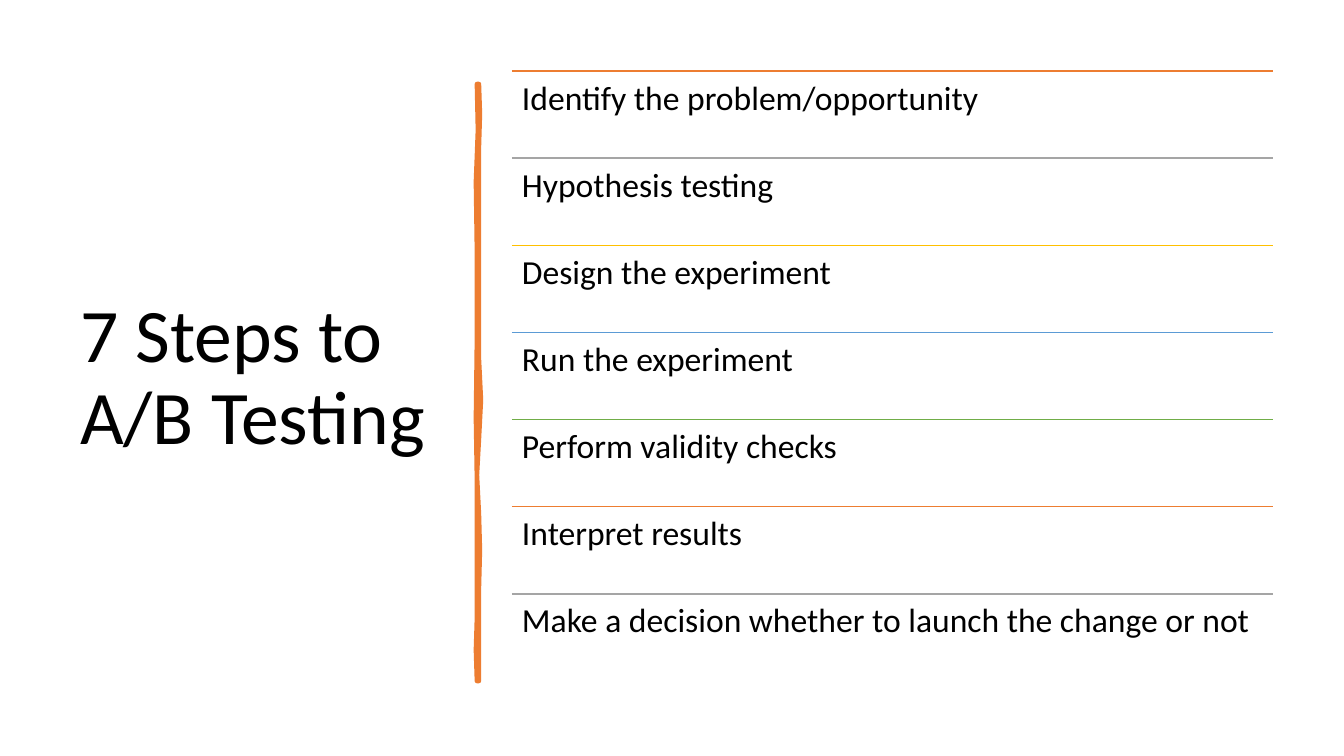
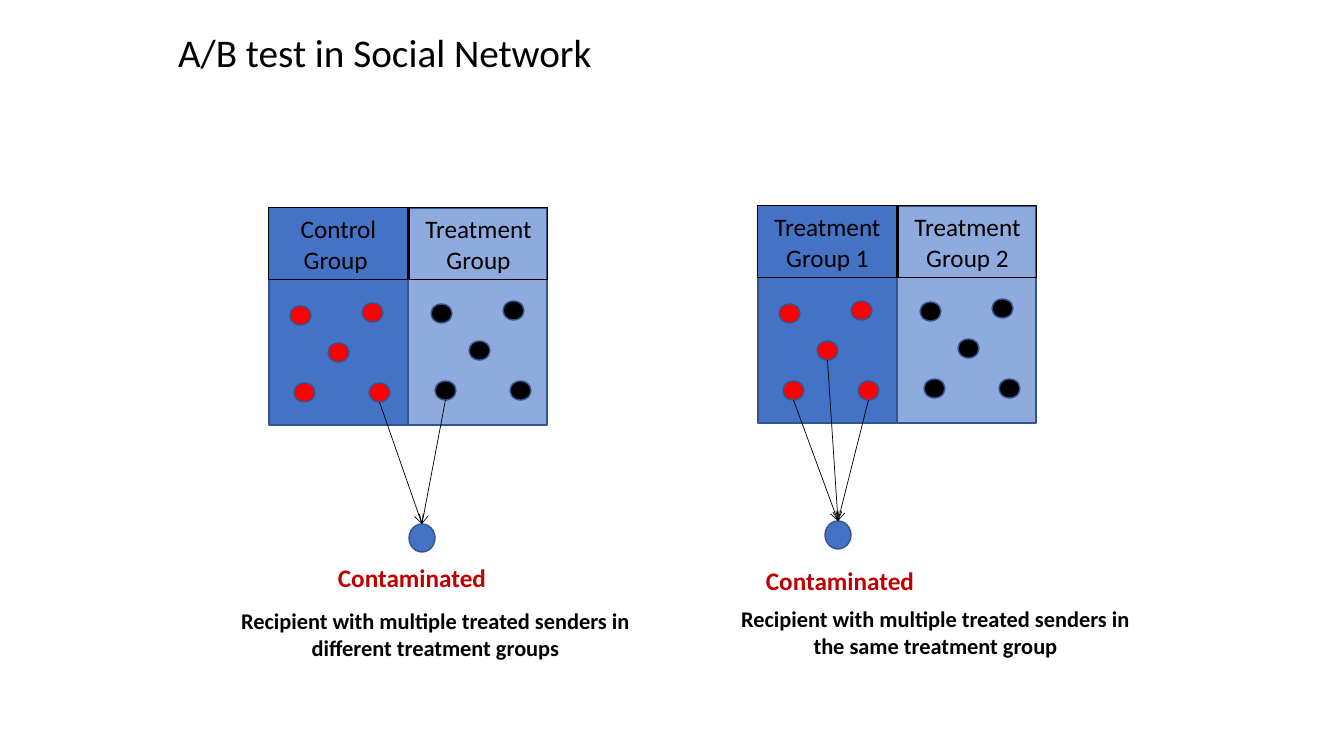
import pptx
import pptx.dml.color
import pptx.enum.shapes
import pptx.enum.text
import pptx.oxml.ns
import pptx.util
from lxml import etree

FONT = "Calibri"
BLACK, BLUE, PALE_BLUE, OUTLINE = "000000", "4472C4", "8FAADC", "325491"
RED, DARK_RED, ORANGE = "FF0000", "C00000", "ED7D31"
RULE_COLOURS = [ORANGE, "A5A5A5", "FFC000", "5B9BD5", "70AD47"]
SCALE = 914400 / 100.8
SHAPE = pptx.enum.shapes.MSO_SHAPE
ALIGN = pptx.enum.text.PP_ALIGN
ANCHOR = pptx.enum.text.MSO_ANCHOR

STEPS = [
    "Identify the problem/opportunity",
    "Hypothesis testing",
    "Design the experiment",
    "Run the experiment",
    "Perform validity checks",
    "Interpret results",
    "Make a decision whether to launch the change or not",
]
BRUSH_RIGHT = [(5, 0), (6, 30), (5, 63), (5, 144), (5, 212), (5, 275), (7, 316),
               (5, 355), (3, 391), (5, 430), (6, 466), (5, 504), (5, 597)]
BRUSH_LEFT = [(3, 597), (2, 566), (3, 534), (3, 477), (3, 396), (2, 334), (3, 254),
              (3, 168), (2, 98), (4, 46), (3, 0)]
SENDERS = [(21, 98), (59, 135), (93, 95), (25, 175), (100, 175)]
GROUP_SHIFT = (141, -2)
DOT_SIZE = (21, 19)


def px(length):
    """Turn picture pixels into EMU."""
    return pptx.util.Emu(round(length * SCALE))


def rgb(colour):
    """Turn a hex string into a colour."""
    return pptx.dml.color.RGBColor.from_string(colour)


def write(frame, text, size, colour=BLACK, bold=False, align=ALIGN.LEFT,
          spacing=1.0, anchor=ANCHOR.TOP, wrap=True):
    """Write one formatted run into a text frame."""
    frame.word_wrap = wrap
    frame.auto_size = pptx.enum.text.MSO_AUTO_SIZE.NONE
    frame.vertical_anchor = anchor
    paragraph = frame.paragraphs[0]
    paragraph.alignment = align
    paragraph.line_spacing = spacing
    run = paragraph.add_run()
    run.text = text
    run.font.name = FONT
    run.font.size = pptx.util.Pt(size)
    run.font.bold = bold
    run.font.color.rgb = rgb(colour)


def add_title_slide(deck, text, size, box):
    """Add a title-only slide and place its title in the box."""
    slide = deck.slides.add_slide(deck.slide_layouts[5])
    title = slide.shapes.title
    title.left, title.top, title.width, title.height = map(px, box)
    write(title.text_frame, text, size, spacing=0.9, anchor=ANCHOR.MIDDLE)
    return slide


def paint(shape, fill, line, width):
    """Set the fill and outline of a shape; no fill where it is None."""
    shape.shadow.inherit = False
    if fill:
        shape.fill.solid()
        shape.fill.fore_color.rgb = rgb(fill)
    else:
        shape.fill.background()
    shape.line.color.rgb = rgb(line)
    shape.line.width = pptx.util.Pt(width)


def add_block(slide, kind, box, fill, line=OUTLINE, width=1):
    """Add a preset shape in the box."""
    block = slide.shapes.add_shape(kind, *map(px, box))
    paint(block, fill, line, width)
    return block


def add_label(slide, box, text, size, **style):
    """Add a text box in the box."""
    label = slide.shapes.add_textbox(*map(px, box))
    write(label.text_frame, text, size, **style)
    return label


def add_line(slide, start, end, colour, width, arrow=False):
    """Join two points with a line, with an open arrowhead if asked."""
    line = slide.shapes.add_connector(
        pptx.enum.shapes.MSO_CONNECTOR.STRAIGHT, *map(px, (*start, *end)))
    line.line.color.rgb = rgb(colour)
    line.line.width = pptx.util.Pt(width)
    qn = pptx.oxml.ns.qn
    if arrow:
        etree.SubElement(line.line._get_or_add_ln(), qn("a:tailEnd"), type="arrow")
    etree.SubElement(line._element.spPr, qn("a:effectLst"))


def add_brush_stroke(slide, left, top):
    """Draw the wavy upright stroke from its top left corner."""
    outline = [(left + x, top + y) for x, y in BRUSH_RIGHT + BRUSH_LEFT]
    builder = slide.shapes.build_freeform(*outline[0], scale=SCALE)
    builder.add_line_segments(outline[1:], close=True)
    paint(builder.convert_to_shape(), ORANGE, ORANGE, 3.25)


def add_step_list(slide, left, top, width, height):
    """Stack the steps in equal rows, each under a coloured rule."""
    row = height / len(STEPS)
    for index, step in enumerate(STEPS):
        y = top + index * row
        colour = RULE_COLOURS[index % len(RULE_COLOURS)]
        add_line(slide, (left, y), (left + width, y), colour, 1)
        label = add_label(slide, (left, y, width, row), step, 24, spacing=0.9)
        frame = label.text_frame
        frame.margin_left = frame.margin_right = px(10)
        frame.margin_top = frame.margin_bottom = px(10)


def add_network(slide, left, top, headings, recipient, links, verdict, caption):
    """Draw two groups of senders, one recipient and the texts below.

    Links are (group, sender) pairs; recipient and verdict are offsets.
    """
    column, height, header = 139, 217, 72
    for group, fill in enumerate((BLUE, PALE_BLUE)):
        add_block(slide, SHAPE.RECTANGLE,
                  (left + group * column, top, column, height), fill)
    for group, (heading, fill) in enumerate(zip(headings, (BLUE, None))):
        head = add_block(slide, SHAPE.RECTANGLE,
                         (left + group * (column + 1), top, column, header),
                         fill, BLACK, 0.75)
        write(head.text_frame, heading, 18, align=ALIGN.CENTER, anchor=ANCHOR.MIDDLE)

    dot_width, dot_height = DOT_SIZE
    feet = {}
    for group, fill in enumerate((RED, BLACK)):
        for sender, (dx, dy) in enumerate(SENDERS):
            x = left + dx + group * GROUP_SHIFT[0]
            y = top + dy + group * GROUP_SHIFT[1]
            add_block(slide, SHAPE.OVAL, (x, y, *DOT_SIZE), fill)
            feet[group, sender] = (x + dot_width / 2, y + dot_height)

    x, y = left + recipient[0], top + recipient[1]
    add_block(slide, SHAPE.OVAL, (x, y, 26, 28), BLUE)
    for link in links:
        add_line(slide, feet[link], (x + 13, y), BLACK, 0.5, arrow=True)
    add_label(slide, (left + verdict[0], top + verdict[1], 168, 40),
              "Contaminated", 18, colour=DARK_RED, bold=True, wrap=False)
    caption_dx, text = caption
    add_label(slide, (left + caption_dx, top + 394, 441, 65), text, 16,
              bold=True, align=ALIGN.CENTER)


def build_steps_slide(deck):
    """Build the slide that lists the seven steps."""
    slide = add_title_slide(deck, "7 Steps to A/B Testing", 54, (70, 71, 377, 616))
    add_brush_stroke(slide, 474, 84)
    add_step_list(slide, 512, 71, 761, 610)


def build_network_slide(deck):
    """Build the slide that compares two contaminated networks."""
    slide = add_title_slide(deck, "A/B test in Social Network", 28, (168, 0, 1008, 109))
    sentence = "Recipient with multiple treated senders in "
    add_network(slide, 269, 208, ("Control Group ", "Treatment Group"),
                (140, 316), [(0, 4), (1, 3)], (59, 349),
                (-54, sentence + "different treatment groups"))
    add_network(slide, 758, 206, ("Treatment Group 1", "Treatment Group 2"),
                (67, 315), [(0, 4), (0, 3), (0, 1)], (-2, 354),
                (-43, sentence + "the same treatment group"))


presentation = pptx.Presentation()
presentation.slide_width = px(1344)
presentation.slide_height = px(756)
build_steps_slide(presentation)
build_network_slide(presentation)
presentation.save("out.pptx")
